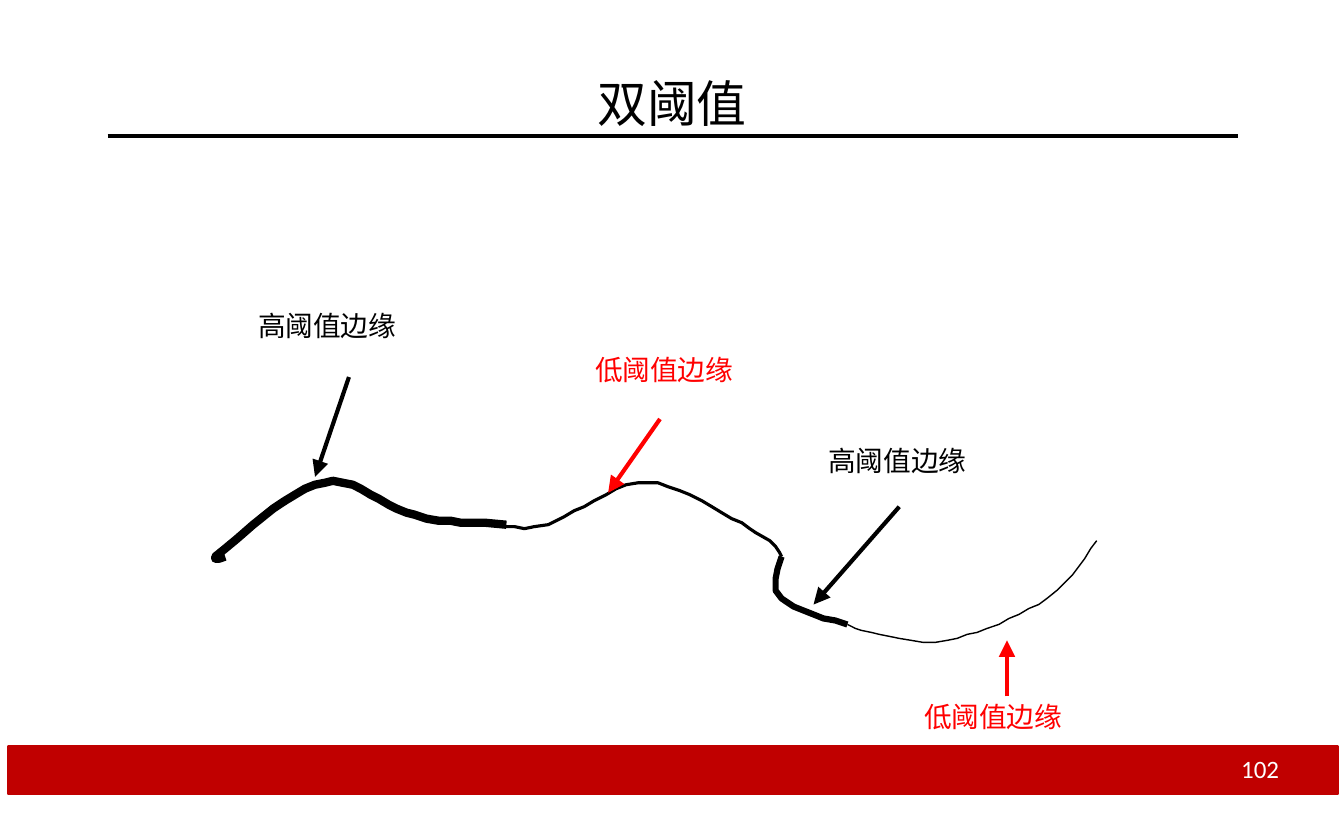
from lxml.etree import SubElement
from pptx import Presentation
from pptx.dml.color import RGBColor
from pptx.enum.shapes import MSO_CONNECTOR, MSO_SHAPE
from pptx.enum.text import MSO_ANCHOR, MSO_AUTO_SIZE, PP_ALIGN
from pptx.oxml.ns import qn
from pptx.util import Inches, Pt

BLACK = RGBColor(0, 0, 0)
RED = RGBColor(255, 0, 0)
DARK = RGBColor(192, 0, 0)
WHITE = RGBColor(255, 255, 255)
HAN = "Noto Sans CJK SC"
LATIN = "Calibri"
UNIT = Inches(0.01)

TITLE = "双阈值"
PAGE = "102"
HIGH = ("高阈值边缘", BLACK)
LOW = ("低阈值边缘", RED)

# kind, label corner, arrow start, arrow tip
NOTES = [
    (HIGH, (1.28, 1.53), (1.75, 1.89), (1.58, 2.39)),
    (LOW, (2.97, 1.75), (3.31, 2.1), (3.05, 2.47)),
    (HIGH, (4.14, 2.21), (4.51, 2.54), (4.08, 3.03)),
    (LOW, (4.62, 3.49), (5.05, 3.49), (5.05, 3.21)),
]

# line width, points in hundredths of an inch
CURVES = [
    (3, [(113, 279), (110, 280), (108, 280), (108, 279), (113, 275),
         (119, 270), (127, 263), (132, 259), (137, 255), (143, 251),
         (148, 248), (153, 245), (158, 243), (163, 242), (167, 241),
         (172, 242), (177, 243), (181, 245), (186, 248), (190, 250),
         (195, 253), (199, 255), (204, 257), (208, 258), (214, 260),
         (220, 261), (226, 261), (231, 262), (243, 262), (254, 263)]),
    (1.12, [(250, 263), (254, 264), (258, 264), (263, 265), (268, 264),
            (275, 263), (279, 261), (283, 259), (288, 256), (293, 254),
            (298, 251), (304, 248), (309, 245), (314, 243), (320, 242),
            (325, 242), (330, 242), (335, 244), (341, 246), (346, 248),
            (352, 251), (357, 254), (362, 257), (367, 260), (372, 262),
            (376, 265), (379, 267), (386, 271), (389, 274), (391, 277),
            (392, 279)]),
    (2.25, [(392, 279), (390, 285), (389, 290), (389, 296), (392, 300),
            (398, 304), (403, 306), (408, 308), (413, 310), (419, 311),
            (425, 313)]),
    (0.5, [(425, 313), (427, 314), (429, 315), (432, 316), (437, 317),
           (441, 318), (446, 319), (451, 320), (457, 321), (463, 322),
           (469, 322), (475, 321), (480, 320), (485, 318), (490, 317),
           (495, 315), (501, 313), (506, 310), (511, 308), (516, 305),
           (521, 303), (525, 300), (530, 296), (534, 292), (538, 288),
           (541, 284), (544, 280), (547, 275), (550, 271)]),
]


def write(shape, box, text, size, font, color):
    """Place a shape and give it one centred line of text."""
    shape.left, shape.top, shape.width, shape.height = map(Inches, box)
    frame = shape.text_frame
    frame.text = text
    frame.auto_size = MSO_AUTO_SIZE.NONE
    frame.word_wrap = False
    frame.vertical_anchor = MSO_ANCHOR.MIDDLE
    frame.margin_left = frame.margin_right = 0
    frame.margin_top = frame.margin_bottom = 0
    para = frame.paragraphs[0]
    para.alignment = PP_ALIGN.CENTER
    run = para.runs[0]
    run.font.size = Pt(size)
    run.font.name = font
    run.font.color.rgb = color
    SubElement(run.font._element, qn("a:ea")).set("typeface", font)


def rule(shapes, start, end, width, color):
    """Draw a straight line and return its line properties."""
    line = shapes.add_connector(
        MSO_CONNECTOR.STRAIGHT, *map(Inches, start + end))
    line.line.width = Pt(width)
    line.line.color.rgb = color
    SubElement(line._element.spPr, qn("a:effectLst"))
    return line.line._get_or_add_ln()


def curve(shapes, width, points):
    """Draw an open black curve through the points."""
    path = shapes.build_freeform(*points[0], scale=UNIT)
    path.add_line_segments(points[1:], close=False)
    shape = path.convert_to_shape()
    shape.shadow.inherit = False
    shape.fill.background()
    shape.line.width = Pt(width)
    shape.line.color.rgb = BLACK


def main():
    """Build the slide and save it."""
    deck = Presentation()
    deck.slide_width, deck.slide_height = Inches(6.74), Inches(4.11)
    slide = deck.slides.add_slide(deck.slide_layouts[5])
    shapes = slide.shapes

    write(shapes.title, (2.98, 0.35, 0.78, 0.33), TITLE, 18, HAN, BLACK)
    rule(shapes, (0.54, 0.68), (6.21, 0.68), 1.5, BLACK)

    bar = shapes.add_shape(
        MSO_SHAPE.RECTANGLE, *map(Inches, (0.04, 3.74, 6.67, 0.24)))
    bar.shadow.inherit = False
    bar.fill.solid()
    bar.fill.fore_color.rgb = DARK
    bar.line.color.rgb = DARK
    bar.line.width = Pt(1)
    page = shapes.add_textbox(0, 0, 0, 0)
    write(page, (6.21, 3.76, 0.22, 0.18), PAGE, 9, LATIN, WHITE)

    for width, points in CURVES:
        curve(shapes, width, points)

    for (text, color), (left, top), start, tip in NOTES:
        label = shapes.add_textbox(0, 0, 0, 0)
        write(label, (left, top, 0.72, 0.2), text, 10, HAN, color)
        line = rule(shapes, start, tip, 1.5, color)
        SubElement(line, qn("a:tailEnd")).set("type", "triangle")

    deck.save("out.pptx")


if __name__ == "__main__":
    main()
